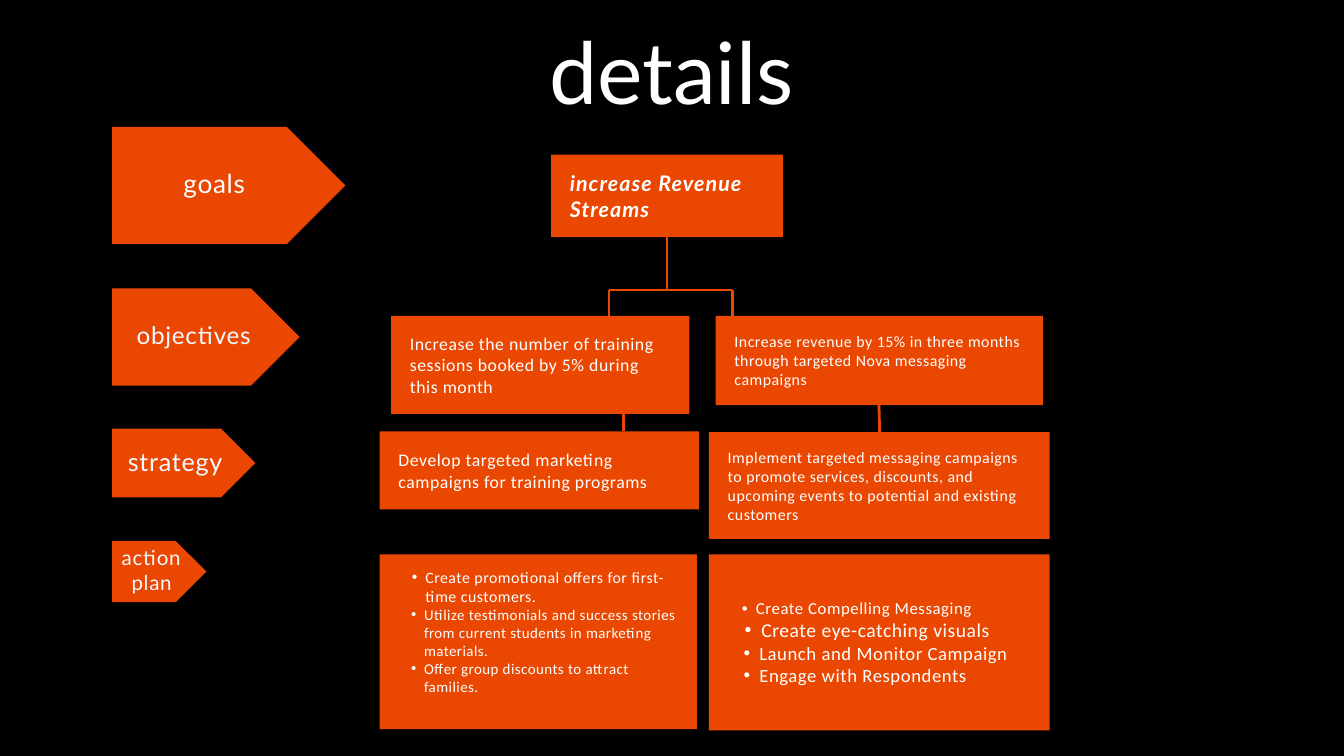
import dataclasses

import pptx
import pptx.dml.color
import pptx.enum.shapes
import pptx.enum.text
import pptx.oxml.ns
import pptx.util
from lxml import etree
from pptx.util import Inches, Pt

SHAPE = pptx.enum.shapes.MSO_SHAPE
ANCHOR = pptx.enum.text.MSO_ANCHOR
ALIGN = pptx.enum.text.PP_ALIGN
qn = pptx.oxml.ns.qn


@dataclasses.dataclass(frozen=True)
class Theme:
    """Colours, fonts and type sizes of the slide."""
    back: str = "000000"
    fill: str = "EA4802"
    white: str = "FFFFFF"
    pale: str = "F4F8FF"
    head: str = "Lato"
    body: str = "Calibri"
    title: int = 92
    goal: int = 23
    steps: tuple = (28, 26, 27, 22)
    large: int = 19
    small: int = 17
    offer: tuple = (17, 16, 16)
    launch: tuple = (18, 21, 20, 20)
    lead: float = 1.2
    thin: float = 2.25
    thick: float = 3


THEME = Theme()


def rgb(code):
    """Turn a hex code into a colour."""
    return pptx.dml.color.RGBColor.from_string(code)


def style(para, size, font, color, track, lead=THEME.lead):
    """Format the line height and the runs of a paragraph."""
    para.line_spacing = Pt(size * lead)
    for run in para.runs:
        run.font.size = Pt(size)
        run.font.name = font
        run.font.color.rgb = rgb(color)
        run._r.get_or_add_rPr().set("spc", str(round(track * 100)))


def inset(frame, left, top, right, base):
    """Set the four margins of a text frame."""
    frame.margin_left, frame.margin_top = Inches(left), Inches(top)
    frame.margin_right, frame.margin_bottom = Inches(right), Inches(base)


def block(slide, kind, box):
    """Draw a filled shape and return it."""
    shape = slide.shapes.add_shape(kind, *map(Inches, box))
    shape.shadow.inherit = False
    shape.fill.solid()
    shape.fill.fore_color.rgb = rgb(THEME.fill)
    shape.line.fill.background()
    shape.text_frame.word_wrap = True
    shape.text_frame.vertical_anchor = ANCHOR.MIDDLE
    return shape


def head(slide, box, text):
    """Place and format the title."""
    title = slide.shapes.title
    title.left, title.top, title.width, title.height = map(Inches, box)
    frame = title.text_frame
    frame.text = text
    frame.vertical_anchor = ANCHOR.TOP
    inset(frame, 0, 0, 0, 0)
    para = frame.paragraphs[0]
    para.alignment = ALIGN.CENTER
    style(para, THEME.title, THEME.head, THEME.white, 0, 1.4)


def step(slide, box, text, size, color):
    """Draw one arrow label of the left column."""
    shape = block(slide, SHAPE.PENTAGON, box)
    frame = shape.text_frame
    frame.text = text
    inset(frame, 0.06, 0.06, 0.06, 0.12)
    para = frame.paragraphs[0]
    para.alignment = ALIGN.CENTER
    style(para, size, THEME.head, color, 0.8)


def steps(slide, box):
    """Draw the shrinking column of arrow labels."""
    left, top = box[:2]
    rows = (("goals", 0, 3.47, 1.74), ("objectives", 2.4, 2.79, 1.45),
            ("strategy", 4.49, 2.13, 1.02), ("action plan", 6.16, 1.4, 0.91))
    for (text, drop, wide, high), size in zip(rows, THEME.steps):
        color = THEME.pale if drop else THEME.white
        step(slide, (left, top + drop, wide, high), text, size, color)


def card(slide, box, text, size, font=THEME.body, track=0.5):
    """Draw a box with left-aligned text and return its paragraph."""
    frame = block(slide, SHAPE.RECTANGLE, box).text_frame
    frame.text = text
    inset(frame, 0.28, 0.28, 0.28, 0.28)
    para = frame.paragraphs[0]
    para.alignment = ALIGN.LEFT
    style(para, size, font, THEME.white, track)
    return para


def plan(slide, box, items, sizes, dents, track):
    """Draw a box with a bulleted list and return its frame."""
    frame = block(slide, SHAPE.RECTANGLE, box).text_frame
    frame.text = "\n".join(items)
    inset(frame, 0.28, 0.28, 0.28, 0.28)
    for para, size, dent in zip(frame.paragraphs, sizes, dents):
        para.level = 1
        para.alignment = ALIGN.LEFT
        props = para._p.get_or_add_pPr()
        props.set("marL", str(Inches(dent)))
        props.set("indent", str(-Inches(dent / 2)))
        etree.SubElement(props, qn("a:buFont")).set("typeface", "Arial")
        etree.SubElement(props, qn("a:buChar")).set("char", "•")
        style(para, size, THEME.body, THEME.white, track)
    return frame


def link(slide, start, end, width):
    """Draw a straight line between two points."""
    line = slide.shapes.add_connector(
        pptx.enum.shapes.MSO_CONNECTOR.STRAIGHT,
        *map(Inches, (*start, *end)))
    line.line.color.rgb = rgb(THEME.fill)
    line.line.width = Pt(width)
    etree.SubElement(line._element.spPr, qn("a:effectLst"))


def fork(slide, box, stem, drop):
    """Draw the branch from the goal to both objectives."""
    left, top, wide, high = box
    right, bar = left + wide, top + drop
    link(slide, (left + stem, top), (left + stem, bar), THEME.thin)
    link(slide, (left, bar), (right, bar), THEME.thin)
    for side in (left, right):
        link(slide, (side, bar), (side, top + high), THEME.thin)


def tree(slide, box):
    """Draw the goal with its objectives, strategies and plans."""
    left, top = box[:2]

    def spot(across, down, wide, high):
        """Shift a box into the tree."""
        return left + across, top + down, wide, high

    goal = card(slide, spot(2.55, 0, 3.45, 1.23), "increase Revenue Streams",
                THEME.goal, THEME.head, 1.1)
    for run in goal.runs:
        run.font.bold = run.font.italic = True
    fork(slide, spot(3.41, 1.23, 1.84, 1.17), 0.87, 0.78)

    card(slide, spot(0.17, 2.4, 4.44, 1.46),
         "Increase the number of training sessions booked by 5% during "
         "this month", THEME.large, track=0.6)
    card(slide, spot(5, 2.4, 4.87, 1.33),
         "Increase revenue by 15% in three months through targeted Nova "
         "messaging campaigns", THEME.small)
    card(slide, spot(0, 4.12, 4.75, 1.16),
         "Develop targeted marketing campaigns for training programs",
         THEME.large, track=0.6)
    card(slide, spot(4.9, 4.13, 5.07, 1.59),
         "Implement targeted messaging campaigns to promote services, "
         "discounts, and upcoming events to potential and existing "
         "customers", THEME.small)
    link(slide, (left + 3.63, top + 3.86), (left + 3.63, top + 4.12),
         THEME.thick)
    link(slide, (left + 7.43, top + 3.73), (left + 7.44, top + 4.13),
         THEME.thick)

    offer = plan(slide, spot(0, 5.95, 4.72, 2.6), (
        "Create promotional offers for first-time customers.",
        "Utilize testimonials and success stories from current students "
        "in marketing materials.",
        "Offer group discounts to attract families."),
        THEME.offer, (0.4, 0.38, 0.38), 0.5)
    offer.vertical_anchor = ANCHOR.TOP
    offer.margin_top = Inches(0.2)
    plan(slide, spot(4.9, 5.95, 5.07, 2.62), (
        "Create Compelling Messaging", "Create eye-catching visuals",
        "Launch and Monitor Campaign", "Engage with Respondents"),
        THEME.launch, (0.42, 0.5, 0.47, 0.47), 0.6)


def main():
    """Build and save the slide."""
    deck = pptx.Presentation()
    deck.slide_width, deck.slide_height = Inches(20), Inches(11.25)
    slide = deck.slides.add_slide(deck.slide_layouts[5])
    slide.background.fill.solid()
    slide.background.fill.fore_color.rgb = rgb(THEME.back)
    head(slide, (7.87, 0.02, 4.25, 1.75), "details")
    steps(slide, (1.67, 1.89, 3.47, 7.07))
    tree(slide, (5.65, 2.3, 9.97, 8.57))
    deck.save("out.pptx")


if __name__ == "__main__":
    main()
